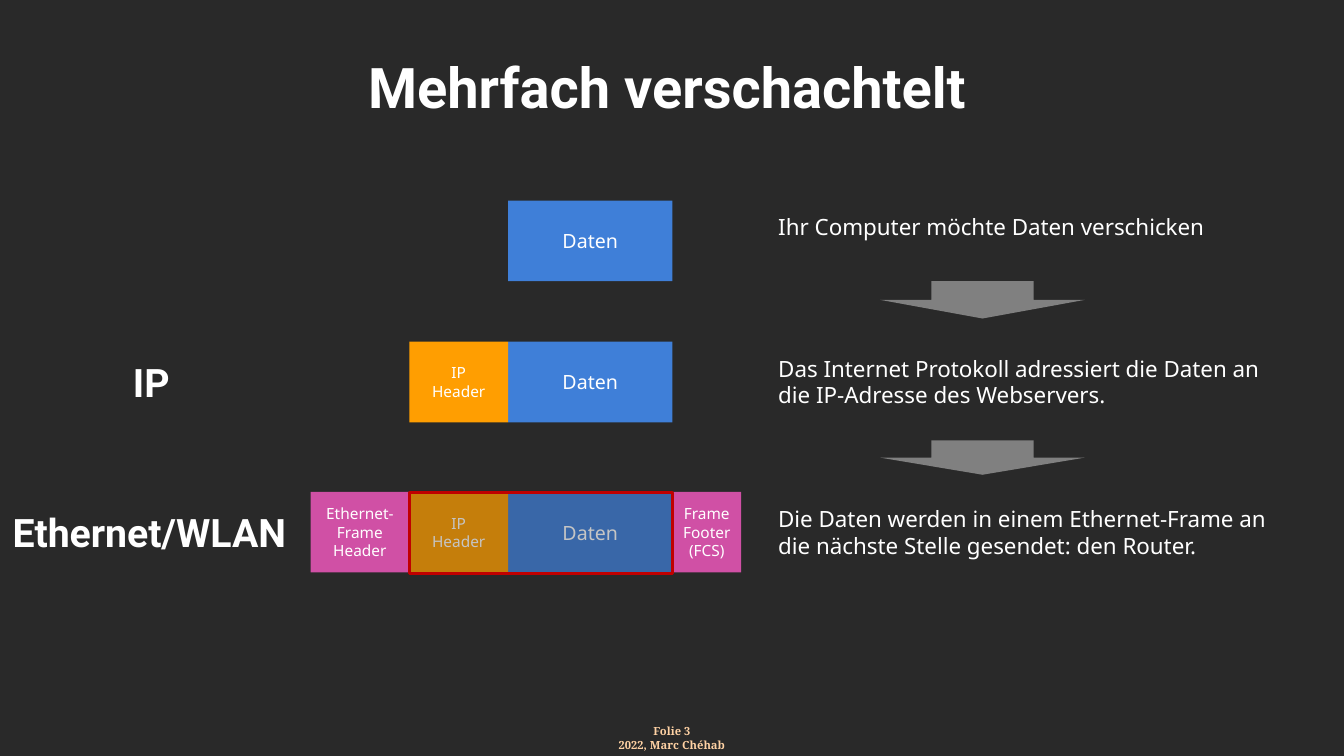
from lxml import etree
from pptx import Presentation
from pptx.dml.color import RGBColor
from pptx.enum import shapes, text
from pptx.oxml import ns
from pptx.util import Inches, Pt

COLORS = {
    "background": "292929",
    "text": "FFFFFF",
    "footer": "FFD2A4",
    "data": "3F7FD8",
    "ip": "FF9E01",
    "frame": "D050A5",
    "outline": "C00000",
    "arrow": "808080",
}
BLOCK_HEIGHT = 0.8
DATA = ("Daten", 5.04, 1.63, "data", 14)
IP_HEADER = ("IP\vHeader", 4.06, 0.98, "ip", 11)
FRAME_HEADER = ("Ethernet-Frame\vHeader", 3.08, 0.98, "frame", 11)
FRAME_FOOTER = ("Frame\vFooter (FCS)", 6.67, 0.68, "frame", 11)
LAYERS = [
    (1.99, "", 0, [DATA], "Ihr Computer möchte Daten verschicken", 5.11, 0.37),
    (3.39, "IP", 0, [DATA, IP_HEADER],
     "Das Internet Protokoll adressiert die Daten an die IP-Adresse des Webservers.", 5.11, 0.64),
    (4.88, "Ethernet/WLAN", -0.02, [DATA, IP_HEADER, FRAME_HEADER, FRAME_FOOTER],
     "Die Daten werden in einem Ethernet-Frame an die nächste Stelle gesendet: den Router.", 5.27, 0.64),
]
ARROWS = [(2.79, 0.37), (4.37, 0.34)]


def rgb(name):
    """Return the named colour."""
    return RGBColor.from_string(COLORS[name])


def write(shape, words, size, font="Noto Sans", bold=False, color="text",
          centered=True, anchor=text.MSO_ANCHOR.MIDDLE, insets=(0.1, 0.05, 0.1, 0.05)):
    """Fill a shape with formatted text."""
    frame = shape.text_frame
    frame.text = words
    frame.word_wrap = True
    frame.auto_size = text.MSO_AUTO_SIZE.NONE
    frame.vertical_anchor = anchor
    frame.margin_left, frame.margin_top, frame.margin_right, frame.margin_bottom = map(Inches, insets)
    for paragraph in frame.paragraphs:
        paragraph.alignment = text.PP_ALIGN.CENTER if centered else text.PP_ALIGN.LEFT
        for run in paragraph.runs:
            run.font.size = Pt(size)
            run.font.name = font
            run.font.bold = bold
            run.font.color.rgb = rgb(color)


def add_box(slide, kind, box, fill):
    """Add a flat preset shape without outline."""
    shape = slide.shapes.add_shape(kind, *map(Inches, box))
    shape.shadow.inherit = False
    shape.fill.solid()
    shape.fill.fore_color.rgb = rgb(fill)
    shape.line.fill.background()
    return shape


def add_label(slide, box, words, size, **style):
    """Add a text box."""
    write(slide.shapes.add_textbox(*map(Inches, box)), words, size, **style)


def add_title(slide, box):
    """Place the slide title."""
    title = slide.shapes.title
    title.left, title.top, title.width, title.height = map(Inches, box)
    write(title, "Mehrfach verschachtelt", 40, "Roboto", True, insets=(0, 0.05, 0.1, 0.05))


def add_layer(slide, top, name, name_left, blocks, description, width, height):
    """Add one protocol layer with its name, blocks and description."""
    for words, left, block_width, fill, size in blocks:
        block = add_box(slide, shapes.MSO_SHAPE.RECTANGLE, (left, top, block_width, BLOCK_HEIGHT), fill)
        write(block, words, size)
    if name:
        add_label(slide, (name_left, top, 3.1, BLOCK_HEIGHT), name, 28,
                  font="Roboto", bold=True, insets=(0, 0.05, 0.1, 0.05))
    add_label(slide, (7.62, top + 0.08, width, height), description, 16,
              centered=False, anchor=text.MSO_ANCHOR.TOP)


def add_payload_veil(slide, box):
    """Dim and outline the packet enclosed by the frame."""
    veil = add_box(slide, shapes.MSO_SHAPE.RECTANGLE, box, "background")
    veil.line.color.rgb = rgb("outline")
    veil.line.width = Pt(2)
    color = veil.fill._xPr.find(ns.qn("a:solidFill"))[0]
    etree.SubElement(color, ns.qn("a:alpha")).set("val", "27000")


def add_footer(slide, box):
    """Add the slide number and copyright line."""
    add_label(slide, box, "Folie 3\v2022, Marc Chéhab", 8, font="Noto Serif", bold=True,
              color="footer", anchor=text.MSO_ANCHOR.TOP, insets=(0, 0, 0, 0))


def main():
    """Build and save the slide."""
    presentation = Presentation()
    presentation.slide_width, presentation.slide_height = Inches(13.33), Inches(7.5)
    slide = presentation.slides.add_slide(presentation.slide_layouts[5])
    slide.background.fill.solid()
    slide.background.fill.fore_color.rgb = rgb("background")
    add_title(slide, (0, 0.45, 13.33, 0.8))
    for layer in LAYERS:
        add_layer(slide, *layer)
    add_payload_veil(slide, (4.06, 4.89, 2.61, BLOCK_HEIGHT))
    for top, height in ARROWS:
        add_box(slide, shapes.MSO_SHAPE.DOWN_ARROW, (8.73, top, 2.03, height), "arrow")
    add_footer(slide, (5.33, 7.19, 2.67, 0.27))
    presentation.save("out.pptx")


if __name__ == "__main__":
    main()
